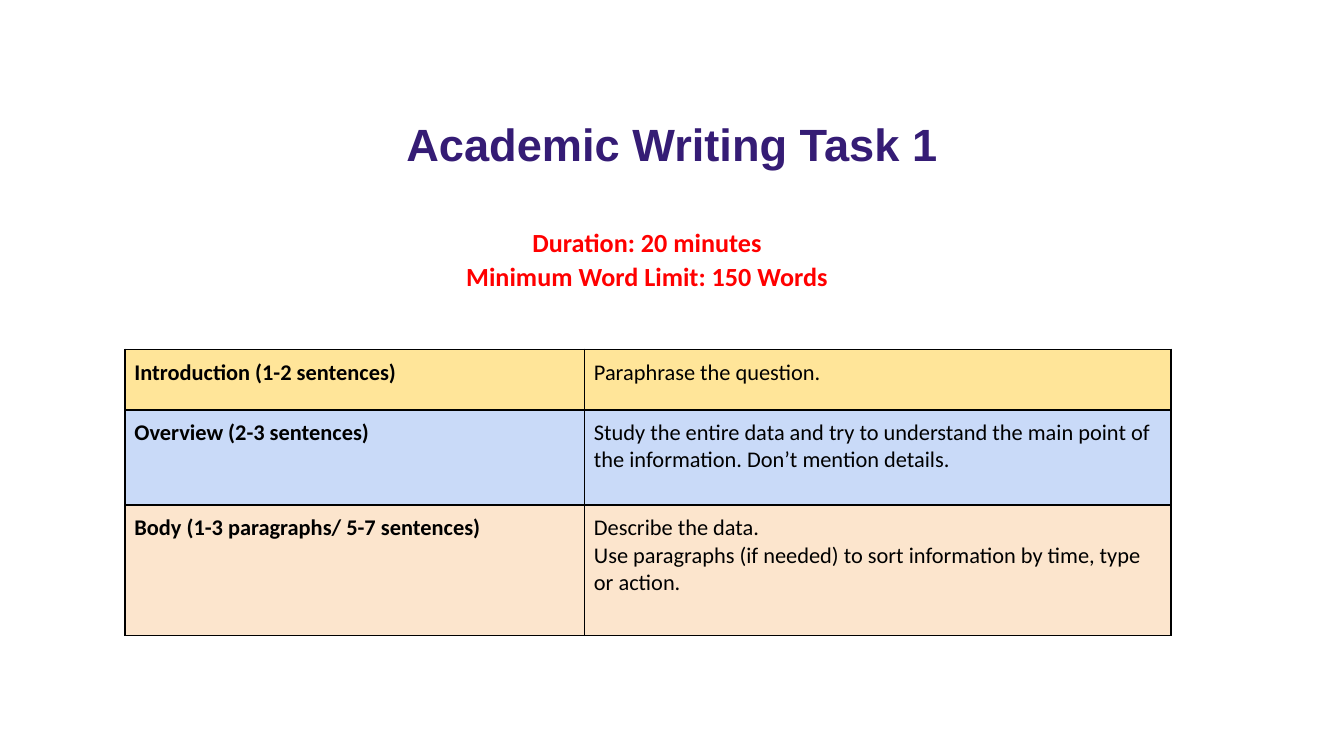
import pptx
import pptx.util
import pptx.dml.color
import pptx.enum.text
import pptx.oxml
import pptx.oxml.ns

Pt = pptx.util.Pt
ALIGN = pptx.enum.text.PP_ALIGN
MIDDLE = pptx.enum.text.MSO_ANCHOR.MIDDLE

TITLE = "Academic Writing Task 1"
LIMITS = "Duration: 20 minutes\vMinimum Word Limit: 150 Words"
# part of the essay, advice, fill, row height
PARTS = [
    ("Introduction (1-2 sentences)", "Paraphrase the question.",
     "FFE599", 32.4),
    ("Overview (2-3 sentences)",
     "Study the entire data and try to understand the main point of "
     "the information. Don’t mention details.", "C9DAF8", 51.1),
    ("Body (1-3 paragraphs/ 5-7 sentences)",
     "Describe the data.\vUse paragraphs (if needed) to sort information "
     "by time, type or action.", "FCE5CD", 69.8),
]
WIDTHS = [246.2, 314]


def color(code):
    return pptx.dml.color.RGBColor.from_string(code)


def write(frame, text, font, size, code, bold=True, align=ALIGN.LEFT):
    para = frame.paragraphs[0]
    para.text = text
    para.alignment = align
    for run in para.runs:
        run.font.name = font
        run.font.size = Pt(size)
        run.font.bold = bold
        run.font.color.rgb = color(code)
    return para


def pad(item, gap):
    """Set equal margins on a text frame or a cell."""
    item.margin_left = item.margin_right = Pt(gap)
    item.margin_top = item.margin_bottom = Pt(gap)


def border(cell, code="000000", width=1):
    props = cell._tc.get_or_add_tcPr()
    for at, side in enumerate(("lnL", "lnR", "lnT", "lnB")):
        props.insert(at, pptx.oxml.parse_xml(
            f'<a:{side} {pptx.oxml.ns.nsdecls("a")} w="{Pt(width)}">'
            f'<a:solidFill><a:srgbClr val="{code}"/></a:solidFill>'
            f'</a:{side}>'))


def add_title(slide):
    title = slide.shapes.title
    title.left, title.top = Pt(24.5), Pt(54)
    title.width, title.height = Pt(671), Pt(45.4)
    frame = title.text_frame
    frame.vertical_anchor = MIDDLE
    pad(frame, 7.2)
    write(frame, TITLE, "Arial", 24.2, "351C75", align=ALIGN.CENTER)


def add_limits(slide):
    box = slide.shapes.add_textbox(Pt(104.4), Pt(93.6), Pt(484.6), Pt(99.4))
    frame = box.text_frame
    frame.word_wrap = True
    frame.vertical_anchor = MIDDLE
    pad(frame, 7.2)
    frame.margin_bottom = Pt(18)
    para = write(frame, LIMITS, "Calibri", 14, "FF0000", align=ALIGN.CENTER)
    para.line_spacing = 1.08
    para.space_after = Pt(8)


def add_parts(slide):
    highs = [part[-1] for part in PARTS]
    table = slide.shapes.add_table(
        len(PARTS), len(WIDTHS), Pt(67), Pt(187.2),
        Pt(sum(WIDTHS)), Pt(sum(highs))).table
    table.first_row = table.horz_banding = False
    for col, width in zip(table.columns, WIDTHS):
        col.width = Pt(width)
    for row, (name, advice, fill, high) in zip(table.rows, PARTS):
        row.height = Pt(high)
        for cell, text in zip(row.cells, (name, advice)):
            pad(cell, 5)
            cell.fill.solid()
            cell.fill.fore_color.rgb = color(fill)
            border(cell)
            write(cell.text_frame, text, "Calibri", 12, "000000",
                  bold=text == name)


def main():
    deck = pptx.Presentation()
    deck.slide_width, deck.slide_height = Pt(720), Pt(405)
    slide = deck.slides.add_slide(deck.slide_layouts[5])
    add_title(slide)
    add_parts(slide)
    add_limits(slide)
    deck.save("out.pptx")


if __name__ == "__main__":
    main()
